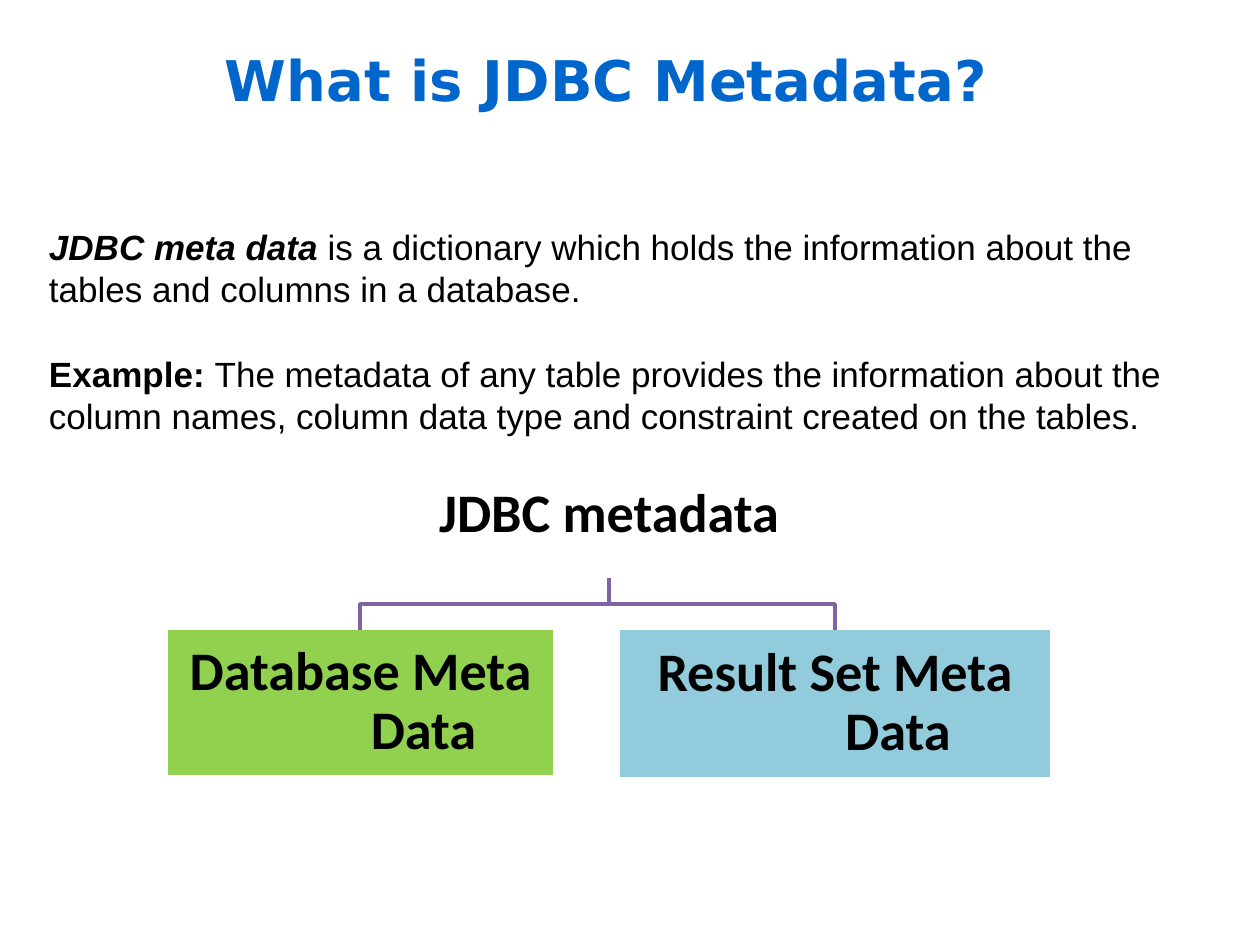
from dataclasses import dataclass

from pptx import Presentation
from pptx.dml.color import RGBColor
from pptx.enum import shapes, text
from pptx.util import Pt

PX = 914400 / 126  # EMU in one px
BLACK = "000000"


def emu(px: int) -> int:
    return round(px * PX)


def color(value: str) -> RGBColor:
    return RGBColor.from_string(value)


@dataclass
class Box:
    x: int
    y: int
    w: int
    h: int

    def lengths(self) -> list[int]:
        return [emu(v) for v in (self.x, self.y, self.w, self.h)]

    @property
    def center(self) -> int:
        return self.x + self.w // 2


@dataclass
class Node:
    label: str
    box: Box
    fill: str


def set_frame(sp, inset_x: int, inset_y: int, anchor):
    tf = sp.text_frame
    tf.word_wrap = True
    tf.margin_left = tf.margin_right = emu(inset_x)
    tf.margin_top = tf.margin_bottom = emu(inset_y)
    tf.vertical_anchor = anchor
    return tf


def set_font(p, name: str, size: int, value: str) -> None:
    p.font.name, p.font.size = name, Pt(size)
    p.font.color.rgb = color(value)


def set_indent(p, left: int, first: int = 0) -> None:
    pPr = p._p.get_or_add_pPr()
    pPr.set("marL", str(emu(left)))
    pPr.set("indent", str(emu(first)))


def add_label(sp, label: str) -> None:
    tf = set_frame(sp, 2, 2, text.MSO_ANCHOR.MIDDLE)
    p = tf.paragraphs[0]
    p.text = label
    p.alignment = text.PP_ALIGN.CENTER
    p.line_spacing = 0.9
    p.space_after = Pt(13.5)
    set_indent(p, 126, -126)
    set_font(p, "Calibri", 31, BLACK)
    p.font.bold = True


def add_branch(slide, root: Box, child: Box) -> None:
    x, bottom = root.center, root.y + root.h
    middle = (bottom + child.y) // 2
    builder = slide.shapes.build_freeform(x, bottom, scale=PX)
    builder.add_line_segments(
        [(x, middle), (child.center, middle), (child.center, child.y)], close=False)
    sp = builder.convert_to_shape()
    sp.shadow.inherit = False
    sp.fill.background()
    sp.line.color.rgb = color("8064A2")
    sp.line.width = Pt(2)


def add_node(slide, node: Node) -> None:
    sp = slide.shapes.add_shape(shapes.MSO_SHAPE.RECTANGLE, *node.box.lengths())
    sp.shadow.inherit = False
    sp.fill.solid()
    sp.fill.fore_color.rgb = color(node.fill)
    sp.line.fill.background()
    add_label(sp, node.label)


TITLE = Box(158, 0, 1071, 158)
BODY = Box(21, 220, 1218, 265)
ROOT = Box(434, 451, 350, 127)
NODES = [
    Node("Database Meta Data", Box(168, 630, 385, 145), "92D050"),
    Node("Result Set Meta Data", Box(620, 630, 430, 147), "92CCDC"),
]
# Lead words, whether they are italic, and the rest of the paragraph
PARAGRAPHS = [
    ("JDBC meta data", True,
     " is a dictionary which holds the information about the tables and columns "
     "in a database."),
    ("Example: ", False,
     "The metadata of any table provides the information about the column names, "
     "column data type and constraint created on the tables."),
]


def main() -> None:
    prs = Presentation()
    prs.slide_width, prs.slide_height = emu(1260), emu(945)
    slide = prs.slides.add_slide(prs.slide_layouts[6])

    # Title
    sp = slide.shapes.add_textbox(*TITLE.lengths())
    p = set_frame(sp, 13, 6, text.MSO_ANCHOR.MIDDLE).paragraphs[0]
    p.text = "What is JDBC Metadata?"
    set_indent(p, 54)
    set_font(p, "DejaVu Sans", 32, "0066CC")
    p.font.bold = True

    # Definition and example
    sp = slide.shapes.add_textbox(*BODY.lengths())
    tf = set_frame(sp, 13, 6, text.MSO_ANCHOR.TOP)
    for i, (lead, italic, rest) in enumerate(PARAGRAPHS):
        p = tf.add_paragraph() if i else tf.paragraphs[0]
        if i:
            p.space_before = Pt(24)
        set_indent(p, 15)
        set_font(p, "Arial", 20, BLACK)
        r = p.add_run()
        r.text, r.font.bold, r.font.italic = lead, True, italic
        p.add_run().text = rest

    # Metadata tree
    for node in reversed(NODES):
        add_branch(slide, ROOT, node.box)
    add_label(slide.shapes.add_textbox(*ROOT.lengths()), "JDBC metadata")
    for node in NODES:
        add_node(slide, node)

    prs.save("out.pptx")


if __name__ == "__main__":
    main()
